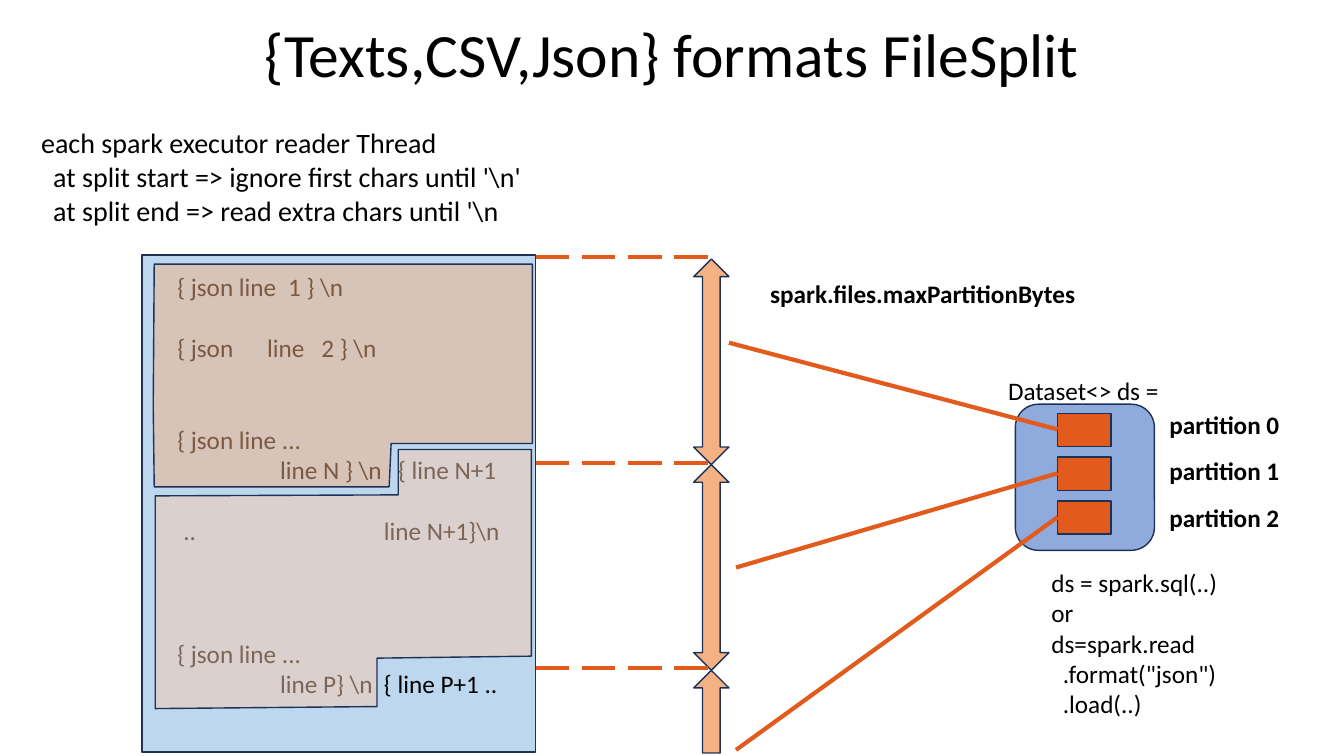
from lxml import etree
from pptx import Presentation
from pptx.dml.color import RGBColor
from pptx.enum.dml import MSO_LINE
from pptx.enum.shapes import MSO_CONNECTOR, MSO_SHAPE
from pptx.enum.text import MSO_ANCHOR, PP_ALIGN
from pptx.oxml.ns import qn
from pptx.util import Inches, Pt

BLACK = RGBColor(0x00, 0x00, 0x00)
NAVY = RGBColor(0x1E, 0x32, 0x56)
ORANGE = RGBColor(0xE2, 0x5A, 0x1C)
PEACH = RGBColor(0xF4, 0xB1, 0x83)
PINK = RGBColor(0xF8, 0xCB, 0xAD)
SKY = RGBColor(0xBD, 0xD7, 0xEE)
BLUE = RGBColor(0x8F, 0xAA, 0xDC)

RECT = MSO_SHAPE.RECTANGLE
ROUND = MSO_SHAPE.ROUNDED_RECTANGLE
BOTH = MSO_SHAPE.UP_DOWN_ARROW
UP = MSO_SHAPE.UP_ARROW
LINE = MSO_CONNECTOR.STRAIGHT
DASH = MSO_LINE.LONG_DASH
LEFT = PP_ALIGN.LEFT
CENTER = PP_ALIGN.CENTER
TOP = MSO_ANCHOR.TOP
MIDDLE = MSO_ANCHOR.MIDDLE

FONT = "Calibri"
ROW = 22


def put_text(frame, rows, size=18, bold=False, align=LEFT, anchor=TOP, lead=None):
    frame.word_wrap = True
    frame.vertical_anchor = anchor
    for i, (words, skip, stops) in enumerate(rows):
        para = frame.paragraphs[0] if i == 0 else frame.add_paragraph()
        para.alignment = align
        if lead:
            para.line_spacing = lead
        if skip:
            para.space_before = Pt(skip * ROW)
        if stops:
            tabs = etree.SubElement(para._p.get_or_add_pPr(), qn("a:tabLst"))
            for stop in stops:
                etree.SubElement(tabs, qn("a:tab"), pos=str(Inches(stop)), algn="l")
        run = para.add_run()
        run.text = words
        run.font.name = FONT
        run.font.size = Pt(size)
        run.font.bold = bold
        run.font.color.rgb = BLACK


def add_text(slide, x, y, w, h, rows, **style):
    box = slide.shapes.add_textbox(Inches(x), Inches(y), Inches(w), Inches(h))
    put_text(box.text_frame, rows, **style)


def paint(shape, fill, alpha=None):
    shape.shadow.inherit = False
    shape.fill.solid()
    shape.fill.fore_color.rgb = fill
    shape.line.color.rgb = NAVY
    shape.line.width = Pt(1)
    if alpha:
        color = shape._element.spPr.find(qn("a:solidFill"))[0]
        etree.SubElement(color, qn("a:alpha"), val=str(alpha * 1000))


def add_box(slide, kind, x, y, w, h, fill):
    shape = slide.shapes.add_shape(kind, Inches(x), Inches(y), Inches(w), Inches(h))
    paint(shape, fill)


def add_line(slide, x1, y1, x2, y2, dash=None):
    line = slide.shapes.add_connector(LINE, Inches(x1), Inches(y1), Inches(x2), Inches(y2))
    line.line.color.rgb = ORANGE
    line.line.width = Pt(3)
    if dash:
        line.line.dash_style = dash
    etree.SubElement(line._element.spPr, qn("a:effectLst"))


def add_patch(slide, x, y, points, fill):
    spots = [(Inches(x + dx), Inches(y + dy)) for dx, dy in points]
    form = slide.shapes.build_freeform(*spots[0])
    form.add_line_segments(spots[1:], close=True)
    paint(form.convert_to_shape(), fill, alpha=50)


def add_title(slide, x, y, w, h):
    title = slide.shapes.title
    title.left, title.top = Inches(x), Inches(y)
    title.width, title.height = Inches(w), Inches(h)
    rows = [("{Texts,CSV,Json} formats FileSplit", 0, ())]
    put_text(title.text_frame, rows, size=44, align=CENTER, anchor=MIDDLE, lead=0.9)


def add_rules(slide, x, y, w, h):
    rows = [
        ("each spark executor reader Thread", 0, ()),
        ("\tat split start => ignore first chars until '\\n'", 0, (0.12,)),
        ("\tat split end => read extra chars until '\\n", 0, (0.12,)),
    ]
    add_text(slide, x, y, w, h, rows, size=20)


def add_file(slide, x, y, w, h):
    add_box(slide, RECT, x, y, w, h, SKY)
    rows = [
        ("{ json line\t1 } \\n", 0, (1.1,)),
        ("{ json\tline\t2 } \\n", 1, (0.89, 1.43)),
        ("{ json line ...", 2, ()),
        ("\tline N } \\n\t{ line N+1", 0, (1.02, 2.19)),
        ("\t..\tline N+1}\\n", 1, (0.06, 2.05)),
        ("{ json line ...", 3, ()),
        ("\tline P} \\n\t{ line P+1 ..", 0, (1.02, 2.05)),
    ]
    add_text(slide, x + 0.25, y + 0.11, w - 0.45, h - 0.29, rows)
    first = [(0.12, 0.09), (3.87, 0.09), (3.87, 1.87), (2.47, 1.87),
             (2.45, 2.3), (0.12, 2.3), (0.11, 1.5)]
    second = [(0.13, 4.5), (0.13, 2.39), (2.54, 2.38), (2.54, 1.93),
              (3.86, 1.93), (3.86, 3.98), (2.33, 4), (2.33, 4.48)]
    add_patch(slide, x, y, first, PEACH)
    add_patch(slide, x, y, second, PINK)


def add_splits(slide, x, y, w, step):
    for i, (kind, tall) in enumerate([(BOTH, step), (BOTH, step), (UP, 0.82)]):
        top = y + i * step
        add_line(slide, x, top, x + w, top, DASH)
        add_box(slide, kind, x + w - 0.16, top + 0.02, 0.35, tall, PEACH)
    rows = [("spark.files.maxPartitionBytes", 0, ())]
    add_text(slide, x + w + 0.5, y + 0.16, 3.32, 0.4, rows, bold=True)


def add_dataset(slide, x, y, w, h, starts):
    add_box(slide, ROUND, x, y, w, h, BLUE)
    add_text(slide, x - 0.17, y - 0.34, 1.77, 0.4, [("Dataset<> ds =", 0, ())])
    for i, start in enumerate(starts):
        top = y + 0.09 + i * 0.435
        add_box(slide, RECT, x + 0.42, top, 0.53, 0.33, ORANGE)
        add_line(slide, *start, x + 0.42, top + 0.16)
        label = [(f"partition {i}", 0, ())]
        add_text(slide, x + w + 0.05, y + i * 0.46, 1.35, 0.4, label, bold=True)
    code = ["ds = spark.sql(..)", "or", "ds=spark.read", '  .format("json")', "  .load(..)"]
    rows = [(words, 0, ()) for words in code]
    add_text(slide, x + 0.26, y + 1.57, 1.9, 1.92, rows)


def main():
    deck = Presentation()
    deck.slide_width, deck.slide_height = Inches(13.33), Inches(7.5)
    slide = deck.slides.add_slide(deck.slide_layouts[5])
    add_title(slide, 0.92, 0, 11.5, 1.14)
    add_rules(slide, 0.31, 1.2, 5.23, 1.11)
    add_splits(slide, 5.31, 2.55, 1.73, 2.04)
    add_file(slide, 1.41, 2.53, 3.9, 4.93)
    add_dataset(slide, 10.07, 4.01, 1.38, 1.45, [(7.23, 3.4), (7.3, 5.63), (7.3, 7.44)])
    deck.save("out.pptx")


if __name__ == "__main__":
    main()
